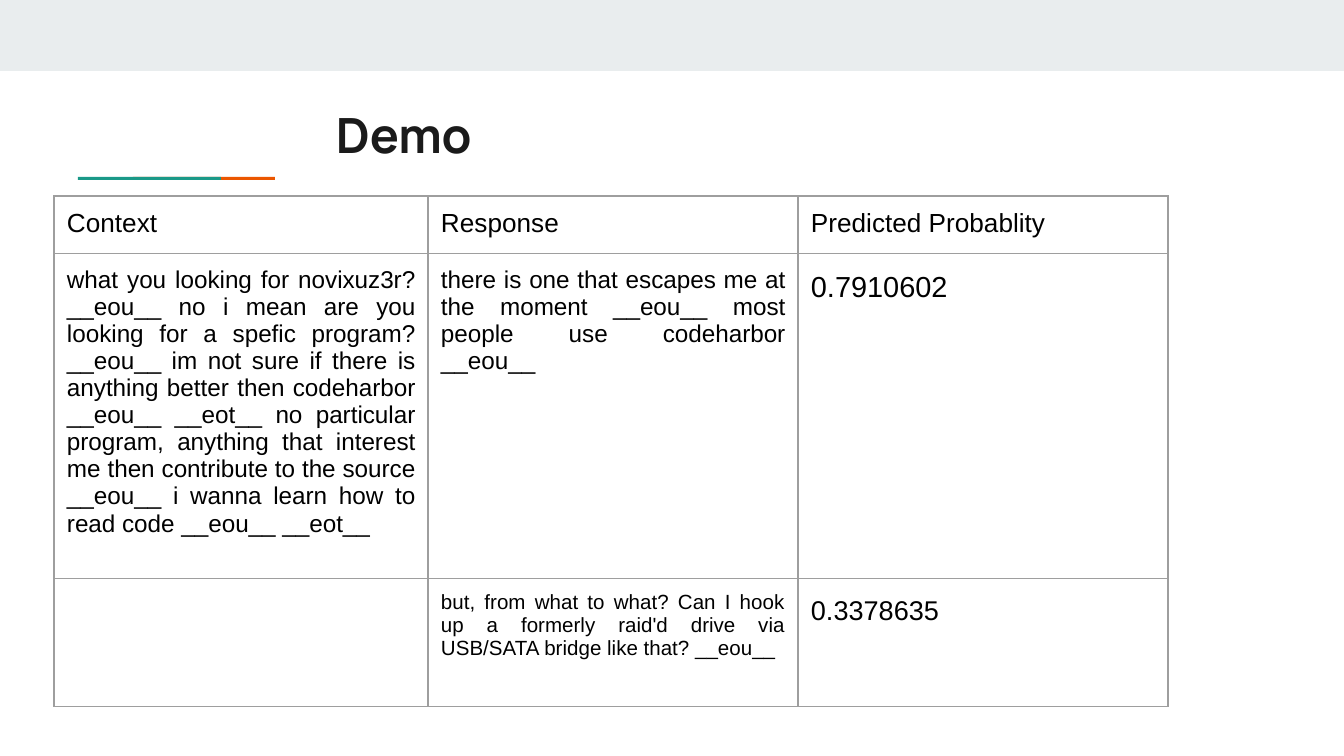
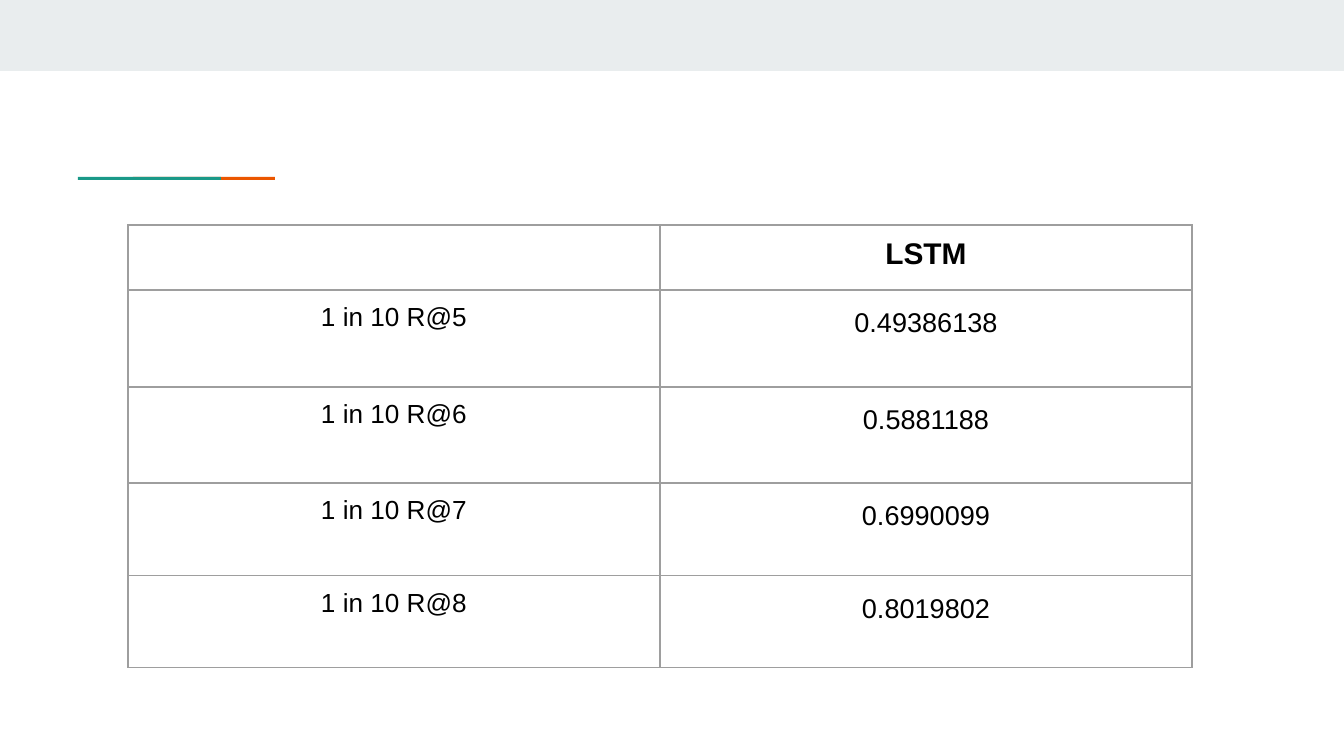
from lxml import etree
from pptx import Presentation
from pptx import util as u
from pptx.dml.color import RGBColor
from pptx.enum import shapes, text
from pptx.oxml import ns

PX = 914400 / 134.4
BAND, ORANGE, GREEN = "E9EDEE", "EB5600", "1A9988"
TITLE, BLACK, GRID = "1A1A1A", "000000", "9E9E9E"
INSET = 13
JUSTIFY, CENTER, LEFT = text.PP_ALIGN.JUSTIFY, text.PP_ALIGN.CENTER, text.PP_ALIGN.LEFT


def color(value):
    return RGBColor.from_string(value)


def write(frame, words, size=14, font="Arial", ink=BLACK, bold=False, align=LEFT, spacing=1.0):
    frame.word_wrap = True
    para = frame.paragraphs[0]
    para.alignment = align
    para.line_spacing = spacing
    if not words:
        etree.SubElement(para._p, ns.qn("a:endParaRPr"), sz=str(size * 100))
        return
    span = para.add_run()
    span.text = words
    span.font.size = u.Pt(size)
    span.font.name = font
    span.font.bold = bold
    span.font.color.rgb = color(ink)


header = dict(align=JUSTIFY)
dialogue = dict(size=13, align=JUSTIFY)
score = dict(size=14.5, align=CENTER, spacing=1.15)
label = dict(align=CENTER)

context = (
    "what you looking for novixuz3r? __eou__ no i mean are you looking for a spefic program? "
    "__eou__ im not sure if there is anything better then codeharbor __eou__ __eot__ "
    "no particular program, anything that interest me then contribute to the source __eou__ "
    "i wanna learn how to read code __eou__ __eot__"
)
response = "there is one that escapes me at the moment __eou__ most people use codeharbor __eou__"
other_response = (
    "but, from what to what? Can I hook up a formerly raid'd drive via "
    "USB/SATA bridge like that? __eou__"
)
demo_rows = [
    [("Context", header), ("Response", header), ("Predicted Probablity", header)],
    [(context, dialogue), (response, dialogue), ("0.7910602", dict(size=15.5, spacing=1.15))],
    [("", {}), (other_response, dict(size=11, align=JUSTIFY)),
     ("0.3378635", dict(size=14.5, spacing=1.15))],
]
recalls = {5: "0.49386138", 6: "0.5881188", 7: "0.6990099", 8: "0.8019802"}
recall_rows = [[("", {}), ("LSTM", dict(size=16, bold=True, align=CENTER))]]
for rank, value in recalls.items():
    recall_rows.append([(f"1 in 10 R@{rank}", label), (value, score)])

slides = [
    ("Demo", 54, 196, [374, 370, 370], [56, 325, 128], demo_rows),
    ("", 128, 225, [532, 532], [65, 97, 96, 93, 92], recall_rows),
]

deck = Presentation()
deck.slide_width = u.Emu(round(1344 * PX))
deck.slide_height = u.Emu(round(756 * PX))

for title, left, top, widths, heights, rows in slides:
    page = deck.slides.add_slide(deck.slide_layouts[6])

    for x, y, width, height, fill in [
        (0, 0, 1344, 71, BAND),
        (133, 177, 142, 3, ORANGE),
        (78, 177, 143, 3, GREEN),
    ]:
        place = [round(n * PX) for n in (x, y, width, height)]
        bar = page.shapes.add_shape(shapes.MSO_SHAPE.RECTANGLE, *place)
        bar.shadow.inherit = False
        bar.fill.solid()
        bar.fill.fore_color.rgb = color(fill)
        bar.line.fill.background()

    if title:
        place = [round(n * PX) for n in (323, 92, 1130, 79)]
        box = page.shapes.add_textbox(*place)
        frame = box.text_frame
        frame.margin_left = frame.margin_right = round(INSET * PX)
        frame.margin_top = frame.margin_bottom = round(INSET * PX)
        write(frame, title, size=26, font="Manrope", ink=TITLE, bold=True)

    place = [round(n * PX) for n in (left, top, sum(widths), sum(heights))]
    table = page.shapes.add_table(len(rows), len(widths), *place).table
    table.first_row = False
    table.horz_banding = False
    for column, width in zip(table.columns, widths):
        column.width = round(width * PX)
    for row, height, entries in zip(table.rows, heights, rows):
        row.height = round(height * PX)
        for cell, (words, style) in zip(row.cells, entries):
            cell.margin_left = cell.margin_right = round(INSET * PX)
            cell.margin_top = cell.margin_bottom = round(INSET * PX)
            write(cell.text_frame, words, **style)
            properties = cell._tc.get_or_add_tcPr()
            for side in ("lnL", "lnR", "lnT", "lnB"):
                border = etree.SubElement(properties, ns.qn(f"a:{side}"), w=str(u.Pt(0.75)))
                paint = etree.SubElement(border, ns.qn("a:solidFill"))
                etree.SubElement(paint, ns.qn("a:srgbClr"), val=GRID)
            cell.fill.background()

deck.save("out.pptx")
